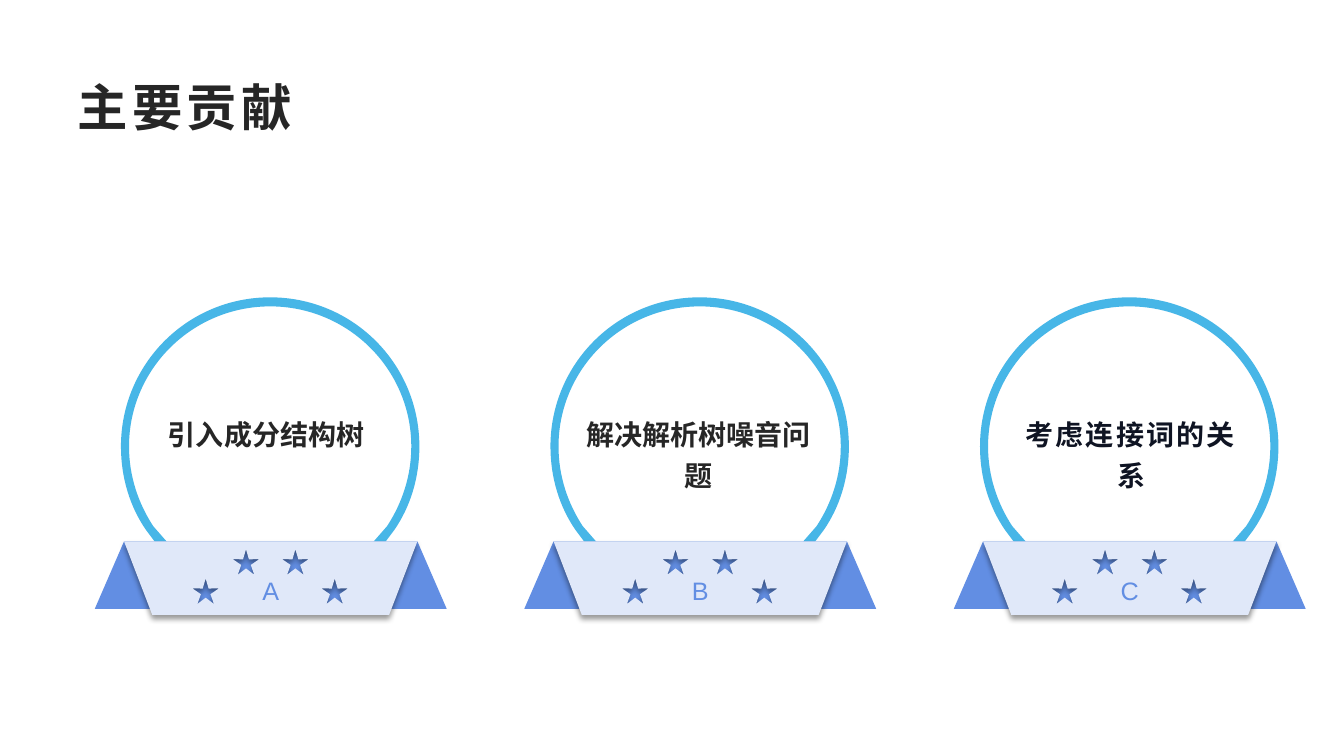
from dataclasses import dataclass
from math import cos, pi, sin

from lxml import etree
from pptx import Presentation
from pptx import util as u
from pptx.dml.color import RGBColor
from pptx.enum import shapes, text
from pptx.oxml.ns import qn


@dataclass(frozen=True)
class Theme:
    ring: str = "47B6E7"
    ribbon: str = "628EE3"
    banner: str = "E0E8F9"
    shadow: str = "000000"
    ink: str = "262626"
    deep_ink: str = "0F1423"
    latin: str = "Arial"
    han: str = "Noto Sans CJK SC"
    title_size: int = 36
    claim_size: int = 20
    letter_size: int = 18


THEME = Theme()


@dataclass(frozen=True)
class Style:
    size: int
    color: str
    font: str = THEME.latin
    bold: bool = True
    spacing: float = 0


@dataclass(frozen=True)
class Contribution:
    letter: str
    claim: str
    style: Style


CLAIM = Style(THEME.claim_size, THEME.ink)
CONTRIBUTIONS = [
    Contribution("A", "引入成分结构树", CLAIM),
    Contribution("B", "解决解析树噪音问题", CLAIM),
    Contribution("C", "考虑连接词的关系",
                 Style(THEME.claim_size, THEME.deep_ink, THEME.han, spacing=1.5)),
]
CLAIM_ORDER = (1, 0, 2)
LETTER = Style(THEME.letter_size, THEME.ribbon, bold=False)
TITLE = Style(THEME.title_size, THEME.ink, spacing=3)

BADGE_CENTER, BADGE_PITCH = 2.68, 4.26
CLAIM_LEFT, CLAIM_PITCH = 1.4, 4.29
BANNER_TOP, BANNER_BOTTOM = 5.37, 6.1
STAR_OUTER, STAR_INNER = 0.14, 0.05
STARS = [(0.64, 5.88), (-0.64, 5.88), (0.25, 5.59), (-0.24, 5.59)]

Points = list[tuple[float, float]]

RING_HALF: Points = [
    (0, 2.95), (0.82, 2.95), (1.48, 3.61), (1.48, 4.43),
    (1.48, 4.74), (1.39, 5.03), (1.23, 5.26),
    (1.14, 5.38), (1.02, 5.38), (1.16, 5.22),
    (1.31, 4.99), (1.4, 4.72), (1.4, 4.43),
    (1.4, 3.66), (0.77, 3.04), (0, 3.04),
]
RING_STEPS = "CCLLLCC" * 2


def apply(target, values: dict) -> None:
    for key, value in values.items():
        setattr(target, key, value)


def write(frame, words: str, style: Style, frame_format: dict, paragraph_format: dict) -> None:
    apply(frame, {"word_wrap": True, "auto_size": text.MSO_AUTO_SIZE.NONE, **frame_format})
    paragraph = frame.paragraphs[0]
    apply(paragraph, paragraph_format)
    run = paragraph.add_run()
    run.text = words
    apply(run.font, {"size": u.Pt(style.size), "bold": style.bold, "name": style.font})
    run.font.color.rgb = RGBColor.from_string(style.color)
    properties = run._r.get_or_add_rPr()
    if style.spacing:
        properties.set("spc", str(int(style.spacing * 100)))
    etree.SubElement(properties, qn("a:ea"), typeface=THEME.han)


def paint(shape, color: str) -> None:
    shape.shadow.inherit = False
    shape.fill.solid()
    shape.fill.fore_color.rgb = RGBColor.from_string(color)
    shape.line.fill.background()


def outline(badge, contours: list[Points], color: str):
    scaled = [[(u.Inches(x), u.Inches(y)) for x, y in points] for points in contours]
    builder = badge.shapes.build_freeform(*scaled[0][0])
    builder.add_line_segments(scaled[0][1:], close=True)
    for points in scaled[1:]:
        builder.move_to(*points[0])
        builder.add_line_segments(points[1:], close=True)
    shape = builder.convert_to_shape()
    paint(shape, color)
    return shape


def bend(shape, steps: str) -> None:
    segments = iter(list(shape._element.iter(qn("a:lnTo"))))
    for step in steps:
        segment = next(segments)
        if step == "C":
            curve = etree.Element(qn("a:cubicBezTo"))
            segment.addprevious(curve)
            for part in (segment, next(segments), next(segments)):
                curve.append(part[0])
                part.getparent().remove(part)


def star(x: float, y: float) -> Points:
    radii = [STAR_OUTER, STAR_INNER] * 5
    return [(x - r * sin(i * pi / 5), y - r * cos(i * pi / 5)) for i, r in enumerate(radii)]


def cast_shadow(shape) -> None:
    effects = shape._element.spPr.find(qn("a:effectLst"))
    shadow = etree.SubElement(effects, qn("a:outerShdw"), blurRad=str(u.Pt(4)),
                              dist=str(u.Pt(3)), dir="5400000", algn="t", rotWithShape="0")
    tint = etree.SubElement(shadow, qn("a:srgbClr"), val=THEME.shadow)
    etree.SubElement(tint, qn("a:alpha"), val="40000")


def draw_badge(slide, center: float, letter: str) -> None:
    badge = slide.shapes.add_group_shape()
    right = [(center + dx, y) for dx, y in RING_HALF]
    left = [(center - dx, y) for dx, y in RING_HALF[-2::-1]]
    bend(outline(badge, [right + left], THEME.ring), RING_STEPS)

    ribbon = badge.shapes.add_shape(
        shapes.MSO_SHAPE.TRAPEZOID, u.Inches(center - 1.74), u.Inches(BANNER_TOP),
        u.Inches(3.49), u.Inches(0.67))
    ribbon.adjustments[0] = 0.434
    paint(ribbon, THEME.ribbon)

    edge = [(center - 1.45, BANNER_TOP), (center + 1.46, BANNER_TOP),
            (center + 1.18, BANNER_BOTTOM), (center - 1.17, BANNER_BOTTOM)]
    banner = outline(badge, [star(center + dx, y) for dx, y in STARS] + [edge], THEME.banner)
    cast_shadow(banner)
    write(banner.text_frame, letter, LETTER,
          {"vertical_anchor": text.MSO_ANCHOR.MIDDLE,
           "margin_top": u.Inches(0.24), "margin_bottom": 0},
          {"alignment": text.PP_ALIGN.CENTER})


def draw_claim(slide, left: float, contribution: Contribution) -> None:
    claim = slide.shapes.add_textbox(u.Inches(left), u.Inches(4.03),
                                     u.Inches(2.48), u.Inches(1.24))
    write(claim.text_frame, contribution.claim, contribution.style, {},
          {"alignment": text.PP_ALIGN.CENTER, "line_spacing": 1.2})


def main() -> None:
    deck = Presentation()
    apply(deck, {"slide_width": u.Inches(13.33), "slide_height": u.Inches(7.5)})
    slide = deck.slides.add_slide(deck.slide_layouts.get_by_name("Title Only"))
    title = slide.shapes.title
    apply(title, {"left": u.Inches(0.67), "top": u.Inches(0.67),
                  "width": u.Inches(12), "height": u.Inches(0.77)})
    write(title.text_frame, "主要贡献", TITLE,
          {"vertical_anchor": text.MSO_ANCHOR.MIDDLE}, {"alignment": text.PP_ALIGN.LEFT})
    for index, contribution in enumerate(CONTRIBUTIONS):
        draw_badge(slide, BADGE_CENTER + index * BADGE_PITCH, contribution.letter)
    for index in CLAIM_ORDER:
        draw_claim(slide, CLAIM_LEFT + index * CLAIM_PITCH, CONTRIBUTIONS[index])
    deck.save("out.pptx")


if __name__ == "__main__":
    main()
